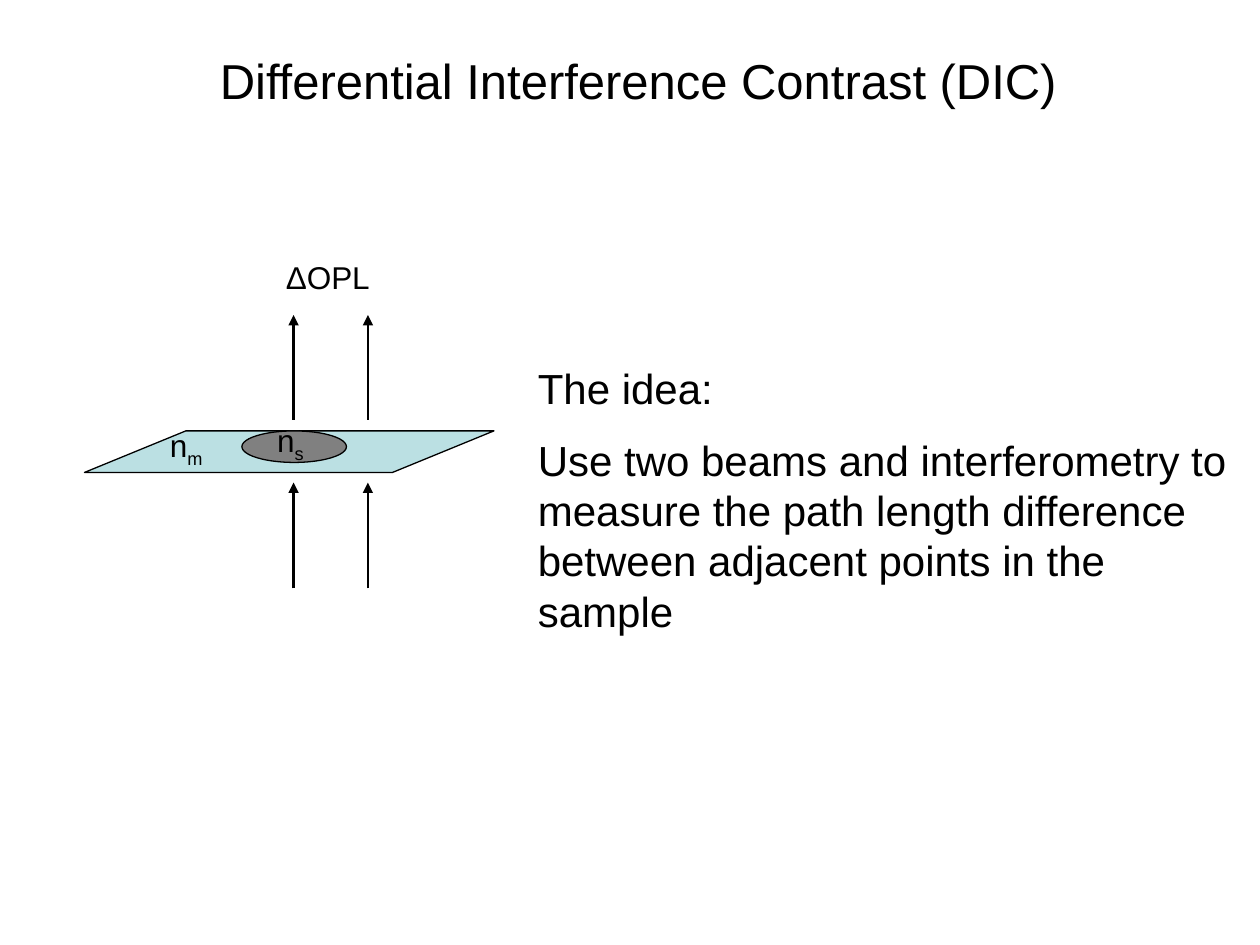
from lxml.etree import SubElement
from pptx import Presentation
from pptx.dml.color import RGBColor
from pptx.enum.shapes import MSO_CONNECTOR as Connector, MSO_SHAPE as Shape
from pptx.enum.text import MSO_AUTO_SIZE as AutoSize, PP_ALIGN as Align
from pptx.oxml.ns import qn
from pptx.util import Inches, Pt


def colour(value):
    return RGBColor.from_string(value)


def apply(target, values):
    for name, value in values.items():
        setattr(target, name, value)


class DiagramSlide:
    """Draws the elements of one slide in a shared style."""

    ink = "000000"
    font = "Arial"
    outline = 0.75
    beam_width = 1.5

    def __init__(self, slide):
        self.slide = slide

    def text(self, box, paragraphs, size, wrap=True, align=Align.LEFT, gap=0):
        frame = self.slide.shapes.add_textbox(*map(Inches, box)).text_frame
        apply(frame, {"word_wrap": wrap, "auto_size": AutoSize.SHAPE_TO_FIT_TEXT})
        for index, content in enumerate(paragraphs):
            paragraph = frame.paragraphs[0] if index == 0 else frame.add_paragraph()
            apply(paragraph, {"alignment": align, "space_before": Pt(gap if index else 0)})
            self.run(paragraph, content, size)
        return frame

    def run(self, paragraph, content, size):
        run = paragraph.add_run()
        run.text = content
        apply(run.font, {"name": self.font, "size": Pt(size)})
        run.font.color.rgb = colour(self.ink)
        return run

    def index_label(self, box, symbol, subscript, size):
        frame = self.text(box, [symbol], size, wrap=False)
        lowered = self.run(frame.paragraphs[0], subscript, size)
        lowered.font._element.set("baseline", "-25000")

    def shape(self, kind, box, fill):
        shape = self.slide.shapes.add_shape(kind, *map(Inches, box))
        shape.shadow.inherit = False
        shape.fill.solid()
        shape.fill.fore_color.rgb = colour(fill)
        shape.line.color.rgb = colour(self.ink)
        shape.line.width = Pt(self.outline)
        return shape

    def beam(self, x, start, end):
        points = map(Inches, (x, start, x, end))
        beam = self.slide.shapes.add_connector(Connector.STRAIGHT, *points)
        beam.line.color.rgb = colour(self.ink)
        beam.line.width = Pt(self.beam_width)
        SubElement(beam.line._get_or_add_ln(), qn("a:tailEnd"), type="triangle")
        SubElement(beam._element.spPr, qn("a:effectLst"))


def main():
    deck = Presentation()
    apply(deck, {"slide_width": Inches(10), "slide_height": Inches(7.5)})
    page = DiagramSlide(deck.slides.add_slide(deck.slide_layouts[6]))

    idea = [
        "The idea:",
        "Use two beams and interferometry to measure the path length "
        "difference between adjacent points in the sample",
    ]
    page.text((4.17, 2.83, 5.67, 2.32), idea, 24, gap=12)
    title = ["Differential Interference Contrast (DIC)"]
    page.text((1.6, 0.35, 6.93, 0.57), title, 28, wrap=False, align=Align.CENTER)

    medium = page.shape(Shape.PARALLELOGRAM, (0.67, 3.42, 3.25, 0.33), "BBE0E3")
    medium.adjustments[0] = 2.44
    page.shape(Shape.OVAL, (1.92, 3.42, 0.83, 0.25), "808080")

    for x in (2.33, 2.92):
        for start, end in ((4.67, 3.83), (3.33, 2.5)):
            page.beam(x, start, end)

    page.text((2.17, 2, 1, 0.4), ["ΔOPL"], 18)
    page.index_label((2.1, 3.29, 0.42, 0.4), "n", "s", 18)
    page.index_label((1.25, 3.33, 0.48, 0.4), "n", "m", 18)

    deck.save("out.pptx")


if __name__ == "__main__":
    main()
